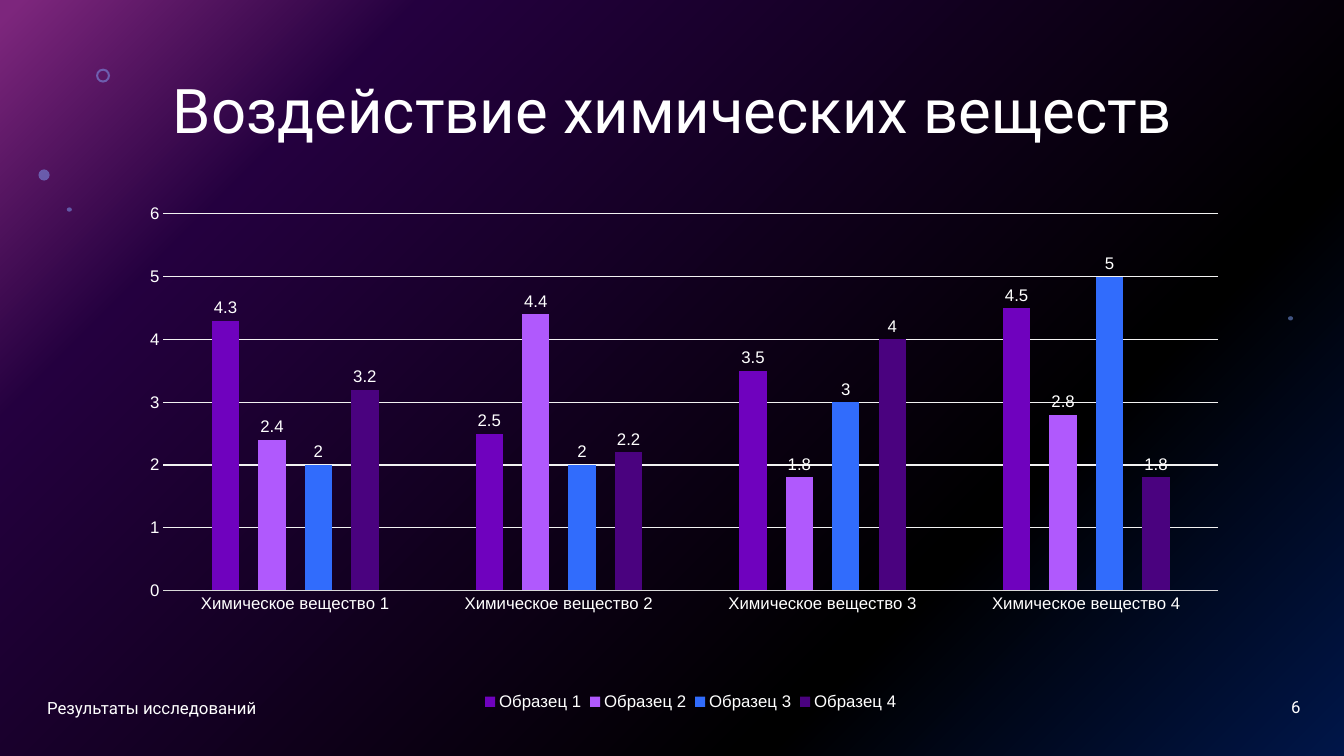
from dataclasses import dataclass

from pptx import Presentation
from pptx.chart.data import CategoryChartData
from pptx.dml.color import RGBColor
from pptx.enum.chart import XL_CHART_TYPE as ChartType
from pptx.enum.chart import XL_LABEL_POSITION as LabelPosition
from pptx.enum.chart import XL_LEGEND_POSITION as LegendPosition
from pptx.enum.chart import XL_TICK_MARK as TickMark
from pptx.enum.shapes import MSO_SHAPE as Shape
from pptx.enum.text import MSO_ANCHOR as Anchor
from pptx.enum.text import PP_ALIGN as Align
from pptx.oxml import parse_xml
from pptx.oxml.ns import nsdecls, qn
from pptx.util import Pt


@dataclass(frozen=True)
class Theme:
    """Colours, fonts and type sizes of the slide."""
    text: str = "FFFFFF"
    overlay: str = "000000"
    dot: str = "83A7FD"
    axis: str = "D9D9D9"
    grid: str = "F2F2F2"
    glow: tuple = ((0, "022D94"), (28, "000000"), (80, "4A027F"), (99, "FC4EFB"))
    samples: tuple = ("6F02BE", "B059FD", "316CFC", "4A027F")
    text_font: str = "Roboto"
    chart_font: str = "Arial"
    title_size: int = 44
    small_size: int = 12


class SlideBuilder:
    """Draws styled elements on one slide."""

    def __init__(self, slide, theme):
        """Keep the slide and its theme."""
        self.slide = slide
        self.theme = theme

    def style_font(self, font, name, size):
        """Set the typeface, size and text colour."""
        font.name = name
        font.size = Pt(size)
        font.color.rgb = RGBColor.from_string(self.theme.text)

    def background(self):
        """Fill the background with a glow centred on the lower right corner."""
        stops = "".join(
            f'<a:gs pos="{position * 1000}"><a:srgbClr val="{color}"/></a:gs>'
            for position, color in self.theme.glow)
        background = parse_xml(
            f'<p:bg {nsdecls("p", "a")}><p:bgPr><a:gradFill><a:gsLst>{stops}</a:gsLst>'
            '<a:path path="circle"><a:fillToRect l="100000" t="100000"/></a:path>'
            '</a:gradFill><a:effectLst/></p:bgPr></p:bg>')
        self.slide.element.cSld.insert(0, background)

    def shape(self, kind, box, color, opacity):
        """Add a translucent shape without an outline."""
        shape = self.slide.shapes.add_shape(kind, *map(Pt, box))
        shape.shadow.inherit = False
        shape.line.fill.background()
        shape.fill.solid()
        shape.fill.fore_color.rgb = RGBColor.from_string(color)
        color_element = shape.element.spPr.find(f'{qn("a:solidFill")}/{qn("a:srgbClr")}')
        color_element.append(parse_xml(f'<a:alpha {nsdecls("a")} val="{opacity * 1000}"/>'))
        return shape

    def text(self, box, content, size, align=Align.LEFT, line_spacing=1.0):
        """Add one vertically centred line of text."""
        frame = self.slide.shapes.add_textbox(*map(Pt, box)).text_frame
        frame.word_wrap = True
        frame.vertical_anchor = Anchor.MIDDLE
        paragraph = frame.paragraphs[0]
        paragraph.alignment = align
        paragraph.line_spacing = line_spacing
        run = paragraph.add_run()
        run.text = content
        self.style_font(run.font, self.theme.text_font, size)

    def layout(self, x, y, width, height, target=""):
        """Return a manual chart layout given in fractions of the chart."""
        inner = f'<c:layoutTarget val="{target}"/>' if target else ""
        return parse_xml(
            f'<c:layout {nsdecls("c")}><c:manualLayout>{inner}'
            '<c:xMode val="edge"/><c:yMode val="edge"/>'
            f'<c:x val="{x}"/><c:y val="{y}"/><c:w val="{width}"/><c:h val="{height}"/>'
            '</c:manualLayout></c:layout>')

    def column_chart(self, box, categories, samples):
        """Add a clustered column chart with value labels and a legend."""
        theme = self.theme
        data = CategoryChartData()
        data.categories = categories
        for name, values in samples.items():
            data.add_series(name, values)
        chart = self.slide.shapes.add_chart(
            ChartType.COLUMN_CLUSTERED, *map(Pt, box), data).chart
        chart.has_title = False
        self.style_font(chart.font, theme.chart_font, theme.small_size)

        plot = chart.plots[0]
        plot.vary_by_categories = False
        plot.gap_width = 355
        plot.overlap = -70
        plot.has_data_labels = True
        labels = plot.data_labels
        labels.show_value = True
        labels.position = LabelPosition.OUTSIDE_END
        self.style_font(labels.font, theme.chart_font, theme.small_size)
        for series, color in zip(plot.series, theme.samples):
            series.format.fill.solid()
            series.format.fill.fore_color.rgb = RGBColor.from_string(color)

        for axis in (chart.category_axis, chart.value_axis):
            axis.major_tick_mark = axis.minor_tick_mark = TickMark.NONE
            self.style_font(axis.tick_labels.font, theme.chart_font, theme.small_size)
        value_axis = chart.value_axis
        value_axis.minimum_scale, value_axis.maximum_scale = 0, 6
        value_axis.major_unit = 1
        value_axis.format.line.fill.background()
        for line, color in ((chart.category_axis.format.line, theme.axis),
                            (value_axis.major_gridlines.format.line, theme.grid)):
            line.color.rgb = RGBColor.from_string(color)
            line.width = Pt(0.75)

        chart.has_legend = True
        legend = chart.legend
        legend.position = LegendPosition.BOTTOM
        legend.include_in_layout = False
        self.style_font(legend.font, theme.chart_font, theme.small_size)

        chart_element = chart.element.find(qn("c:chart"))
        plot_area = chart_element.find(qn("c:plotArea"))
        for automatic in plot_area.findall(qn("c:layout")):
            plot_area.remove(automatic)
        plot_area.insert(0, self.layout(0.06, 0.05, 0.91, 0.66, "inner"))
        legend_element = chart_element.find(qn("c:legend"))
        for automatic in legend_element.findall(qn("c:layout")):
            legend_element.remove(automatic)
        legend_element.find(qn("c:legendPos")).addnext(self.layout(0.33, 0.88, 0.37, 0.05))


def main():
    """Build the slide and save it."""
    presentation = Presentation()
    presentation.slide_width, presentation.slide_height = Pt(960), Pt(540)
    slide = presentation.slides.add_slide(presentation.slide_layouts[6])
    theme = Theme()
    builder = SlideBuilder(slide, theme)

    builder.background()
    builder.shape(Shape.RECTANGLE, (0, 0, 960, 540), theme.overlay, 50)
    ring = builder.shape(Shape.DONUT, (68.6, 49, 10, 10), theme.dot, 49)
    ring.adjustments[0] = 0.15
    for dot in ((27.5, 121, 8, 8), (47.7, 148.2, 3.6, 3), (920, 225.9, 3.6, 3)):
        builder.shape(Shape.OVAL, dot, theme.dot, 49)

    builder.column_chart(
        (67, 132.5, 828, 407.5),
        [f"Химическое вещество {number}" for number in range(1, 5)],
        {
            "Образец 1": (4.3, 2.5, 3.5, 4.5),
            "Образец 2": (2.4, 4.4, 1.8, 2.8),
            "Образец 3": (2, 2, 3, 5),
            "Образец 4": (3.2, 2.2, 4, 1.8),
        })
    builder.text((67, 28.8, 828, 104.4), "Воздействие химических веществ",
                 theme.title_size, Align.CENTER, 0.9)
    builder.text((26.6, 491, 324, 28.8), "Результаты исследований", theme.small_size)
    builder.text((720, 490.5, 216, 28.8), "6", theme.small_size, Align.RIGHT)

    presentation.save("out.pptx")


if __name__ == "__main__":
    main()
